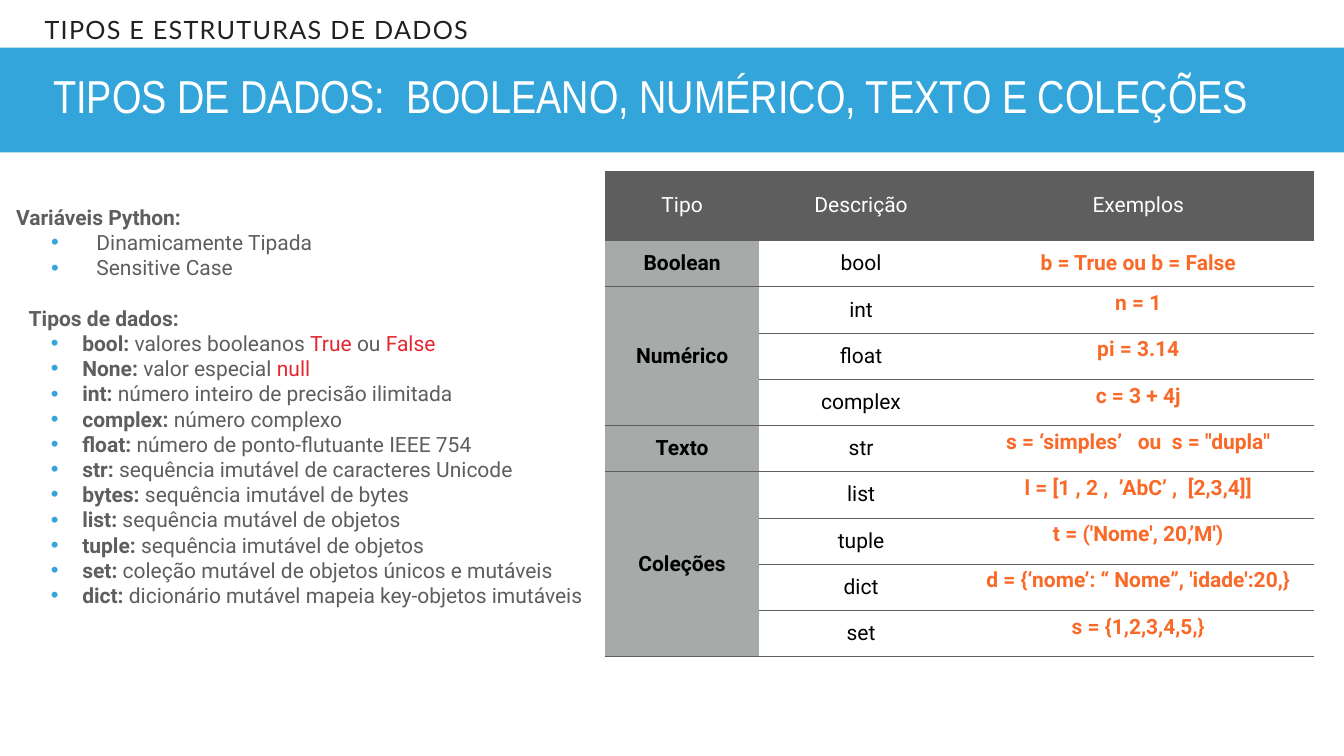
import pptx
import pptx.util
import pptx.dml.color
import pptx.enum.text
import pptx.oxml.ns
from lxml import etree

Cm = pptx.util.Cm
Pt = pptx.util.Pt
ALIGN = pptx.enum.text.PP_ALIGN
ANCHOR = pptx.enum.text.MSO_ANCHOR

COLORS = {
    "blue": "34A5DA", "white": "FFFFFF", "ink": "212121", "gray": "5E5E5E",
    "red": "E42832", "black": "000000", "silver": "A6AAA9", "orange": "F96928",
}

SECTION = "TIPOS E ESTRUTURAS DE DADOS"
TITLE = "TIPOS DE DADOS:\tBOOLEANO, NUMÉRICO, TEXTO E COLEÇÕES"
VARIABLES = ("Variáveis Python:", ["Dinamicamente Tipada", "Sensitive Case"])
TYPES_HEADING = "Tipos de dados:"
TYPES = [
    ("bool:", [(" valores booleanos ", "gray"), ("True", "red"), (" ou ", "gray"), ("False", "red")]),
    ("None:", [(" valor especial ", "gray"), ("null", "red")]),
    ("int:", [(" número inteiro de precisão ilimitada", "gray")]),
    ("complex:", [(" número complexo", "gray")]),
    ("float:", [(" número de ponto-flutuante IEEE 754", "gray")]),
    ("str:", [(" sequência imutável de caracteres Unicode", "gray")]),
    ("bytes:", [(" sequência imutável de bytes", "gray")]),
    ("list:", [(" sequência mutável de objetos", "gray")]),
    ("tuple:", [(" sequência imutável de objetos", "gray")]),
    ("set:", [(" coleção mutável de objetos únicos e mutáveis", "gray")]),
    ("dict:", [(" dicionário mutável mapeia key-objetos imutáveis", "gray")]),
]
HEADER = ["Tipo", "Descrição", "Exemplos"]
GROUPS = [
    ("Boolean", [("bool", "b = True ou b = False")]),
    ("Numérico", [("int", "n = 1"), ("float", "pi = 3.14"), ("complex", "c = 3 + 4j")]),
    ("Texto", [("str", "s = ‘simples’   ou  s = \"dupla\"")]),
    ("Coleções", [
        ("list", "l = [1 , 2 ,  ’AbC’ ,  [2,3,4]]"),
        ("tuple", "t = ('Nome', 20,’M')"),
        ("dict", "d = {‘nome’: “ Nome”, 'idade':20,}"),
        ("set", "s = {1,2,3,4,5,}"),
    ]),
]
COLUMN_WIDTHS = [7.8, 10.24, 17.7]
HEADER_HEIGHT, FIRST_HEIGHT, ROW_HEIGHT = 3.48, 2.36, 2.33
INSET = Cm(0.15)


def rgb(name):
    return pptx.dml.color.RGBColor.from_string(COLORS[name])


def add_child(parent, tag, **attributes):
    child = etree.SubElement(parent, pptx.oxml.ns.qn(tag))
    for key, value in attributes.items():
        child.set(key, str(value))
    return child


def add_text(paragraph, text, color="gray", size=30, font="Roboto", bold=False, spacing=None):
    run = paragraph.add_run()
    run.text = text
    run.font.size = Pt(size)
    run.font.name = font
    run.font.bold = bold
    run.font.color.rgb = rgb(color)
    if spacing:
        run.font._element.set("spc", str(spacing))


def prepare_frame(frame, anchor=ANCHOR.TOP):
    frame.word_wrap = True
    frame.auto_size = pptx.enum.text.MSO_AUTO_SIZE.NONE
    frame.vertical_anchor = anchor
    frame.margin_left = frame.margin_right = frame.margin_top = frame.margin_bottom = INSET
    return frame


def set_indent(paragraph, left, first):
    properties = paragraph._p.get_or_add_pPr()
    properties.set("marL", str(Cm(left)))
    properties.set("indent", str(Cm(first)))
    return properties


def add_bullet(frame, left, first):
    paragraph = frame.add_paragraph()
    paragraph.alignment = ALIGN.JUSTIFY
    paragraph.level = 1
    properties = set_indent(paragraph, left, first)
    add_child(add_child(properties, "a:buClr"), "a:srgbClr", val=COLORS["blue"])
    add_child(properties, "a:buSzPct", val=105000)
    add_child(properties, "a:buFont", typeface="Arial")
    add_child(properties, "a:buChar", char="•")
    return paragraph


def set_borders(cell):
    properties = cell._tc.get_or_add_tcPr()
    for side in ("L", "R"):
        add_child(add_child(properties, f"a:ln{side}", w=0), "a:noFill")
    for side in ("T", "B"):
        line = add_child(properties, f"a:ln{side}", w=Pt(1))
        add_child(add_child(line, "a:solidFill"), "a:srgbClr", val=COLORS["gray"])


def fill_cell(cell, text, fill=None, line_spacing=None, **text_format):
    set_borders(cell)
    if fill:
        cell.fill.solid()
        cell.fill.fore_color.rgb = rgb(fill)
    else:
        cell.fill.background()
    cell.vertical_anchor = ANCHOR.MIDDLE
    cell.margin_left = cell.margin_right = cell.margin_top = cell.margin_bottom = INSET
    paragraph = cell.text_frame.paragraphs[0]
    paragraph.alignment = ALIGN.CENTER
    if line_spacing:
        paragraph.line_spacing = line_spacing
    add_text(paragraph, text, **text_format)


def add_section(slide):
    box = slide.shapes.add_textbox(Cm(2.1), Cm(0.64), Cm(58.2), Cm(1.75))
    paragraph = prepare_frame(box.text_frame, ANCHOR.BOTTOM).paragraphs[0]
    paragraph.line_spacing = 0.8
    add_text(paragraph, SECTION, color="ink", size=36, font="Lato", spacing=180)


def add_title(slide, width):
    title = slide.shapes.title
    title.left, title.top, title.width, title.height = 0, Cm(2.4), width, Cm(5.28)
    title.fill.solid()
    title.fill.fore_color.rgb = rgb("blue")
    paragraph = prepare_frame(title.text_frame, ANCHOR.MIDDLE).paragraphs[0]
    paragraph.alignment = ALIGN.LEFT
    paragraph.line_spacing = 0.8
    properties = set_indent(paragraph, 0, 2.54)
    add_child(add_child(properties, "a:tabLst"), "a:tab", pos=Cm(21.4), algn="l")
    add_text(paragraph, TITLE, color="white", size=66, font="Arial Narrow")


def add_notes_column(slide):
    box = slide.shapes.add_textbox(Cm(0.66), Cm(10.16), Cm(56.4), Cm(27.46))
    frame = prepare_frame(box.text_frame)
    heading, items = VARIABLES
    paragraph = frame.paragraphs[0]
    paragraph.alignment = ALIGN.JUSTIFY
    add_text(paragraph, heading, bold=True)
    for item in items:
        add_text(add_bullet(frame, 4.05, -2.28), item)

    paragraph = frame.add_paragraph()
    paragraph.alignment = ALIGN.JUSTIFY
    paragraph.level = 1
    paragraph.space_before = Pt(36)
    set_indent(paragraph, 0, 0.64)
    add_text(paragraph, TYPES_HEADING, bold=True)
    for term, parts in TYPES:
        paragraph = add_bullet(frame, 3.34, -1.59)
        add_text(paragraph, term, bold=True)
        for text, color in parts:
            add_text(paragraph, text, color=color)


def add_type_table(slide):
    row_count = sum(len(rows) for _, rows in GROUPS)
    heights = [HEADER_HEIGHT, FIRST_HEIGHT] + [ROW_HEIGHT] * (row_count - 1)
    table = slide.shapes.add_table(
        len(heights), len(HEADER), Cm(30.48), Cm(8.61),
        Cm(sum(COLUMN_WIDTHS)), Cm(sum(heights))).table
    table.horz_banding = False
    for column, width in zip(table.columns, COLUMN_WIDTHS):
        column.width = Cm(width)
    for row, height in zip(table.rows, heights):
        row.height = Cm(height)
    for index, text in enumerate(HEADER):
        fill_cell(table.cell(0, index), text, fill="gray", color="white")

    top = 1
    for group, rows in GROUPS:
        group_cell = table.cell(top, 0)
        if len(rows) > 1:
            group_cell.merge(table.cell(top + len(rows) - 1, 0))
        fill_cell(group_cell, group, fill="silver", color="black", bold=True)
        for index, (name, example) in enumerate(rows, top):
            fill_cell(table.cell(index, 1), name, color="black")
            fill_cell(table.cell(index, 2), example, color="orange", bold=True,
                      line_spacing=0.1 if index > 1 else None)
        top += len(rows)


def main():
    presentation = pptx.Presentation()
    presentation.slide_width = Cm(67.74)
    presentation.slide_height = Cm(38.1)
    slide = presentation.slides.add_slide(presentation.slide_layouts[5])
    add_section(slide)
    add_title(slide, presentation.slide_width)
    add_notes_column(slide)
    add_type_table(slide)
    presentation.save("out.pptx")


if __name__ == "__main__":
    main()
